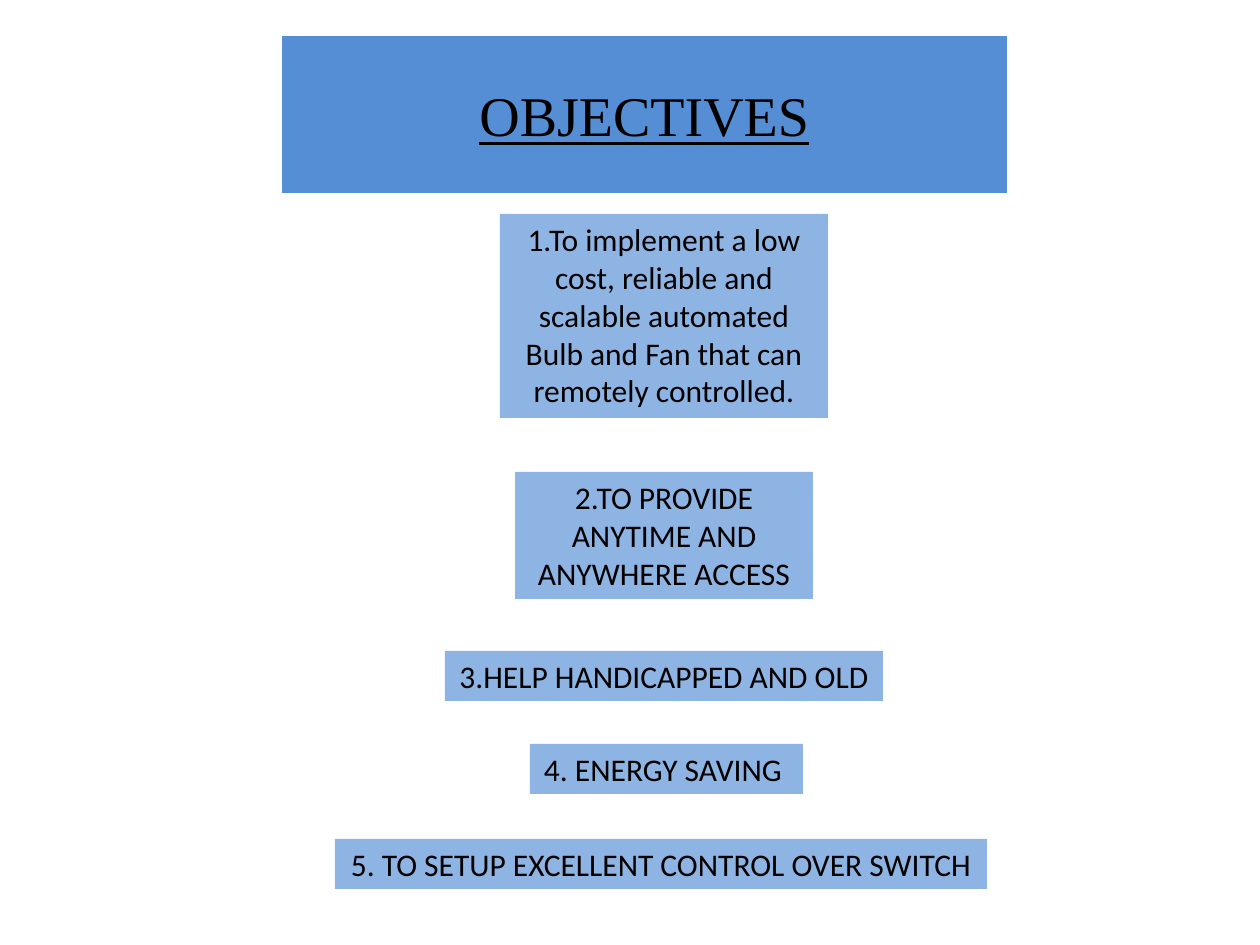
import pptx
import pptx.dml.color
import pptx.enum.text
import pptx.util

RGB = pptx.dml.color.RGBColor
TITLE_BLUE = RGB(0x55, 0x8E, 0xD5)
ITEM_BLUE = RGB(0x8E, 0xB4, 0xE3)
BLACK = RGB(0, 0, 0)
PX_PER_INCH = 126

OBJECTIVES = [
    ("1.To implement a low cost, reliable and scalable automated "
     "Bulb and Fan that can remotely controlled.", (500, 214, 328, 204), True),
    ("2.TO PROVIDE ANYTIME AND ANYWHERE ACCESS", (515, 472, 298, 127), True),
    ("3.HELP HANDICAPPED AND OLD", (445, 651, 438, 50), False),
    ("4. ENERGY SAVING ", (530, 744, 273, 50), False),
    ("5. TO SETUP EXCELLENT CONTROL OVER SWITCH", (335, 839, 652, 50), False),
]


def px(n):
    return pptx.util.Emu(round(n * 914400 / PX_PER_INCH))


class ObjectivesSlide:
    def __init__(self, prs):
        self.slide = prs.slides.add_slide(prs.slide_layouts[6])

    def box(self, text, rect, fill, font, size, wrap=True):
        sp = self.slide.shapes.add_textbox(*map(px, rect))
        sp.fill.solid()
        sp.fill.fore_color.rgb = fill
        tf = sp.text_frame
        tf.word_wrap = wrap
        tf.text = text
        p = tf.paragraphs[0]
        p.alignment = pptx.enum.text.PP_ALIGN.CENTER
        r = p.runs[0]
        r.font.name = font
        r.font.size = pptx.util.Pt(size)
        r.font.color.rgb = BLACK
        return tf

    def title(self, text, rect):
        tf = self.box(text, rect, TITLE_BLUE, "Times New Roman", 32)
        tf.vertical_anchor = pptx.enum.text.MSO_ANCHOR.MIDDLE
        tf.paragraphs[0].runs[0].font.underline = True

    def objective(self, text, rect, wrap):
        tf = self.box(text, rect, ITEM_BLUE, "Calibri", 18, wrap)
        tf.auto_size = pptx.enum.text.MSO_AUTO_SIZE.SHAPE_TO_FIT_TEXT


def main():
    prs = pptx.Presentation()
    prs.slide_width, prs.slide_height = px(1260), px(945)
    s = ObjectivesSlide(prs)
    s.title("OBJECTIVES", (282, 36, 725, 157))
    for text, rect, wrap in OBJECTIVES:
        s.objective(text, rect, wrap)
    prs.save("out.pptx")


if __name__ == "__main__":
    main()
